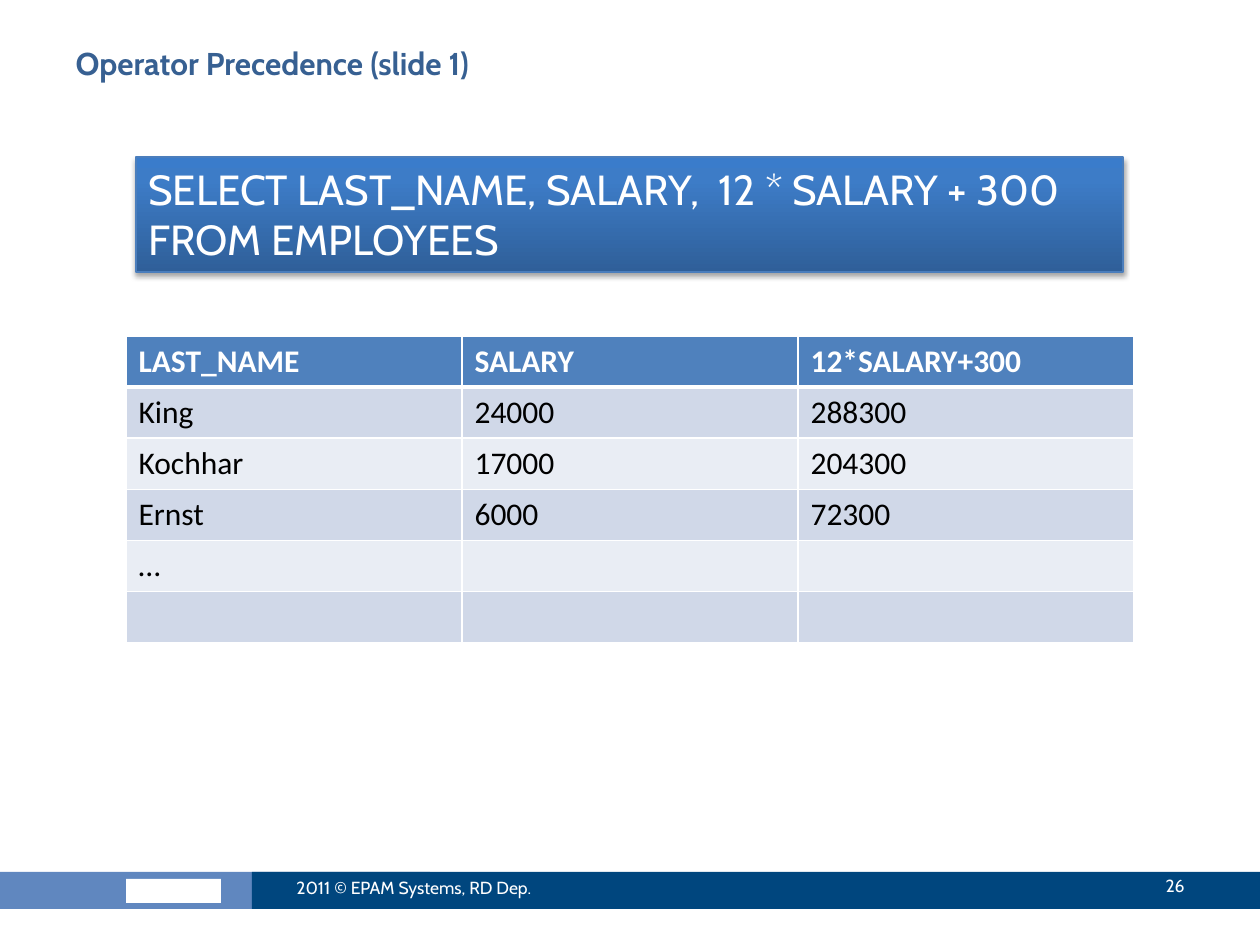
import pptx
import pptx.dml.color
import pptx.enum.shapes
import pptx.enum.text
import pptx.oxml
import pptx.oxml.ns
import pptx.util

RGB = pptx.dml.color.RGBColor
ANCHOR = pptx.enum.text.MSO_ANCHOR
ALIGN = pptx.enum.text.PP_ALIGN

WHITE = RGB(0xFF, 0xFF, 0xFF)
BLACK = RGB(0x00, 0x00, 0x00)
TITLE_BLUE = RGB(0x37, 0x60, 0x92)
FOOTER_LIGHT = RGB(0x60, 0x87, 0xBF)
FOOTER_DARK = RGB(0x00, 0x46, 0x7E)
HEADER_BLUE = RGB(0x4F, 0x81, 0xBD)
BAND_DARK = RGB(0xD0, 0xD8, 0xE8)
BAND_LIGHT = RGB(0xE9, 0xED, 0xF4)
BANNER_EDGE = RGB(0x4B, 0x7E, 0xBC)
BANNER_BOTTOM = RGB(0x2F, 0x5F, 0x99)
BANNER_MIDDLE = RGB(0x3D, 0x7C, 0xC7)
BANNER_TOP = RGB(0x3A, 0x7C, 0xCB)

PX_PER_INCH = 126


def px(length):
    return round(length * pptx.util.Inches(1) / PX_PER_INCH)


class SlideBuilder:
    """Hold the fonts and the current slide, and add each kind of element."""

    text_font = "Cabin"
    table_font = "Calibri"

    def __init__(self, slide):
        self.slide = slide

    def add_lines(self, frame, lines, size, color, bold=False, font=None,
                  anchor=ANCHOR.TOP, align=ALIGN.LEFT):
        frame.word_wrap = True
        frame.vertical_anchor = anchor
        for index, line in enumerate(lines):
            paragraph = frame.add_paragraph() if index else frame.paragraphs[0]
            paragraph.alignment = align
            run = paragraph.add_run()
            run.text = line
            run.font.name = font or self.text_font
            run.font.size = pptx.util.Pt(size)
            run.font.bold = bold
            run.font.color.rgb = color

    def title(self, text, box):
        heading = self.slide.shapes.title
        heading.left, heading.top, heading.width, heading.height = map(px, box)
        heading.text_frame.auto_size = pptx.enum.text.MSO_AUTO_SIZE.NONE
        self.add_lines(heading.text_frame, [text], 18, TITLE_BLUE, bold=True)

    def rectangle(self, box, color):
        bar = self.slide.shapes.add_shape(
            pptx.enum.shapes.MSO_SHAPE.RECTANGLE, *map(px, box))
        bar.shadow.inherit = False
        bar.fill.solid()
        bar.fill.fore_color.rgb = color
        bar.line.fill.background()
        return bar

    def label(self, text, box, align=ALIGN.LEFT):
        caption = self.slide.shapes.add_textbox(*map(px, box))
        self.add_lines(caption.text_frame, [text], 10, WHITE,
                       anchor=ANCHOR.MIDDLE, align=align)

    def banner(self, lines, box, stops):
        statement = self.rectangle(box, BANNER_MIDDLE)
        statement.line.color.rgb = BANNER_EDGE
        statement.line.width = pptx.util.Pt(0.75)
        statement.fill.gradient()
        statement.fill.gradient_angle = 90
        properties = statement.element.spPr
        stop_list = properties.find(".//" + pptx.oxml.ns.qn("a:gsLst"))
        stop_list.clear()
        namespace = pptx.oxml.ns.nsdecls("a")
        for position, color in stops:
            stop_list.append(pptx.oxml.parse_xml(
                f'<a:gs {namespace} pos="{position * 1000}">'
                f'<a:srgbClr val="{color}"/></a:gs>'))
        effects = properties.find(pptx.oxml.ns.qn("a:effectLst"))
        effects.append(pptx.oxml.parse_xml(
            f'<a:outerShdw {namespace} blurRad="40000" dist="23000" '
            'dir="5400000" rotWithShape="0"><a:srgbClr val="000000">'
            '<a:alpha val="35000"/></a:srgbClr></a:outerShdw>'))
        self.add_lines(statement.text_frame, lines, 24, WHITE)

    def borders(self, cell, top, bottom):
        properties = cell._tc.get_or_add_tcPr()
        sides = {"lnL": 1, "lnR": 1, "lnT": top, "lnB": bottom}
        for index, (side, width) in enumerate(sides.items()):
            properties.insert(index, pptx.oxml.parse_xml(
                f'<a:{side} {pptx.oxml.ns.nsdecls("a")} '
                f'w="{pptx.util.Pt(width)}"><a:solidFill>'
                f'<a:srgbClr val="{WHITE}"/></a:solidFill></a:{side}>'))

    def table(self, rows, box):
        grid = self.slide.shapes.add_table(
            len(rows), len(rows[0]), *map(px, box)).table
        for row_index, row in enumerate(rows):
            header = row_index == 0
            band = BAND_DARK if row_index % 2 else BAND_LIGHT
            for column_index, value in enumerate(row):
                cell = grid.cell(row_index, column_index)
                cell.fill.solid()
                cell.fill.fore_color.rgb = HEADER_BLUE if header else band
                self.borders(cell, 3 if row_index == 1 else 1,
                             3 if header else 1)
                if value:
                    self.add_lines(cell.text_frame, [value], 18,
                                   WHITE if header else BLACK,
                                   bold=header, font=self.table_font)


def main():
    deck = pptx.Presentation()
    deck.slide_width = px(10 * PX_PER_INCH)
    deck.slide_height = px(7.5 * PX_PER_INCH)
    builder = SlideBuilder(deck.slides.add_slide(deck.slide_layouts[5]))

    builder.rectangle((0, 872, 430, 37), FOOTER_LIGHT)
    builder.rectangle((126, 879, 95, 24), WHITE)
    builder.rectangle((252, 872, 1008, 37), FOOTER_DARK)
    builder.title("Operator Precedence (slide 1)", (63, 38, 1134, 98))
    builder.table([
        ("LAST_NAME", "SALARY", "12*SALARY+300"),
        ("King", "24000", "288300"),
        ("Kochhar", "17000", "204300"),
        ("Ernst", "6000", "72300"),
        ("…", "", ""),
        ("", "", ""),
    ], (126, 336, 1008, 306))
    builder.label("2011 © EPAM Systems, RD Dep.", (284, 863, 336, 50))
    builder.label("26", (1061, 861, 136, 50), ALIGN.RIGHT)
    builder.banner(
        ["SELECT LAST_NAME, SALARY,  12 * SALARY + 300", "FROM EMPLOYEES"],
        (136, 157, 987, 115),
        [(0, BANNER_BOTTOM), (80, BANNER_MIDDLE), (100, BANNER_TOP)])
    deck.save("out.pptx")


if __name__ == "__main__":
    main()
